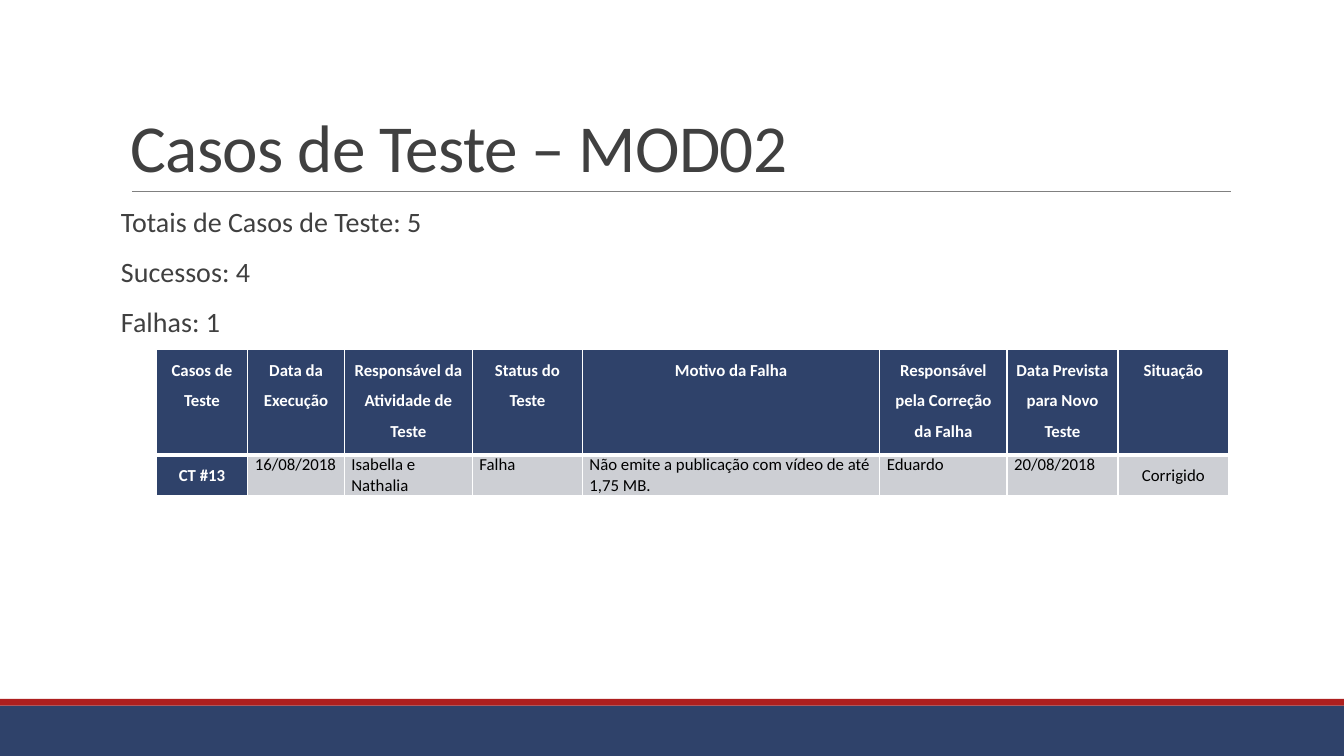
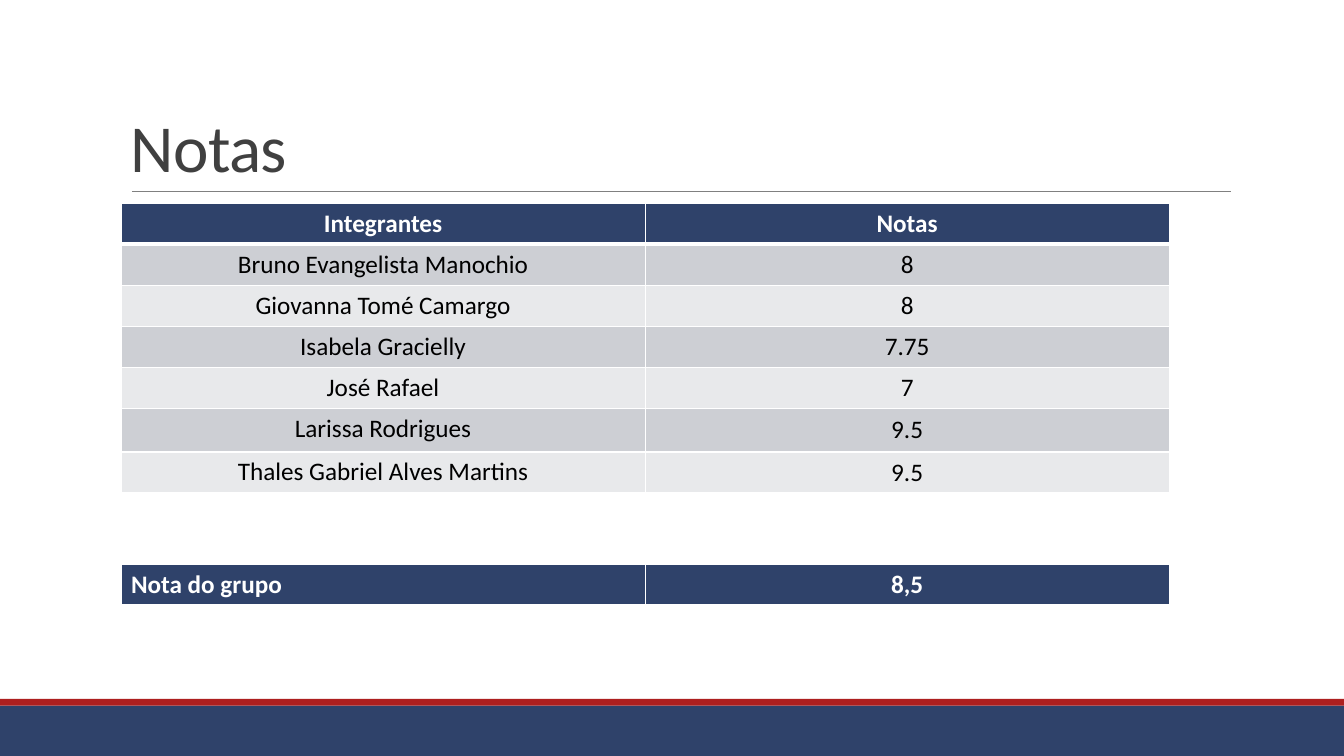
from dataclasses import dataclass
from typing import Any

import lxml.etree
import pptx
import pptx.dml.color
import pptx.enum.shapes
import pptx.enum.text
import pptx.oxml.ns
import pptx.util

NAVY = pptx.dml.color.RGBColor(0x2F, 0x42, 0x6A)
RED = pptx.dml.color.RGBColor(0xAD, 0x1F, 0x1F)
GREY = pptx.dml.color.RGBColor(0x80, 0x80, 0x80)
CHARCOAL = pptx.dml.color.RGBColor(0x40, 0x40, 0x40)
DARK_BAND = pptx.dml.color.RGBColor(0xCD, 0xCF, 0xD4)
LIGHT_BAND = pptx.dml.color.RGBColor(0xE8, 0xE9, 0xEB)
WHITE = pptx.dml.color.RGBColor(0xFF, 0xFF, 0xFF)
BLACK = pptx.dml.color.RGBColor(0, 0, 0)

FONT = "Calibri"
LEFT = pptx.enum.text.PP_ALIGN.LEFT
CENTER = pptx.enum.text.PP_ALIGN.CENTER
TOP = pptx.enum.text.MSO_ANCHOR.TOP
BOTTOM = pptx.enum.text.MSO_ANCHOR.BOTTOM
MIDDLE = pptx.enum.text.MSO_ANCHOR.MIDDLE

SLIDE_WIDTH = pptx.util.Inches(40 / 3)
SLIDE_HEIGHT = pptx.util.Inches(7.5)
GRID_COLUMNS = 160
GRID_ROWS = 90
CONTENT_LEFT = 14.4
CONTENT_TOP = 24.25
CONTENT_WIDTH = 132


@dataclass(frozen=True)
class Box:
    left: float
    top: float
    width: float
    height: float

    def lengths(self) -> tuple[int, int, int, int]:
        return across(self.left), down(self.top), across(self.width), down(self.height)


@dataclass(frozen=True)
class TextStyle:
    size: float
    color: pptx.dml.color.RGBColor
    bold: bool = False
    alignment: Any = LEFT
    line_spacing: float = 1.0
    space_before: float = 0
    space_after: float = 0
    tracking: int = 0


@dataclass(frozen=True)
class CellStyle:
    text: TextStyle
    fill: pptx.dml.color.RGBColor
    bottom_border: float = 1
    anchor: Any = TOP
    compact: bool = False


@dataclass(frozen=True)
class Cell:
    text: str
    style: CellStyle


@dataclass(frozen=True)
class Band:
    box: Box
    color: pptx.dml.color.RGBColor


BANDS = [
    Band(Box(0, 84, GRID_COLUMNS, 6), NAVY),
    Band(Box(0, 83.2, GRID_COLUMNS, 0.8), RED),
]
TITLE_BOX = Box(CONTENT_LEFT, 3.7, CONTENT_WIDTH, 19.1)
TITLE = TextStyle(48, CHARCOAL, line_spacing=0.85, tracking=-50)
BODY = TextStyle(20, CHARCOAL, line_spacing=0.9, space_before=12, space_after=2)

CASE_HEADING = TextStyle(12, WHITE, True, CENTER, 1.5)
CASE_HEADER = CellStyle(CASE_HEADING, NAVY, 3, compact=True)
CASE_NAME = CellStyle(CASE_HEADING, NAVY, compact=True)
CASE_DETAIL = CellStyle(TextStyle(12, BLACK), DARK_BAND, compact=True)
CASE_STATE = CellStyle(TextStyle(12, BLACK, False, CENTER, 1.5), DARK_BAND, compact=True)

GRADE_HEADER = CellStyle(TextStyle(18, WHITE, True, CENTER), NAVY, 3)
GROUP_LABEL = CellStyle(TextStyle(18, WHITE, True), NAVY, 3)
GRADE_TEXT = TextStyle(18, BLACK, alignment=CENTER)
GRADE_COLUMNS = [62.4, 62.4]

CASE_COLUMNS = [10.9, 11.5, 15.25, 13.1, 35.4, 15.15, 13.2, 13.2]
CASE_HEADINGS = [
    "Casos de Teste", "Data da Execução", "Responsável da Atividade de Teste",
    "Status do Teste", "Motivo da Falha", "Responsável pela Correção da Falha",
    "Data Prevista para Novo Teste", "Situação",
]
CASE_DETAILS = [
    "16/08/2018", "Isabella e Nathalia", "Falha",
    "Não emite a publicação com vídeo de até 1,75 MB.", "Eduardo", "20/08/2018",
]
GRADES = [
    ("Bruno Evangelista Manochio", "8"),
    ("Giovanna Tomé Camargo", "8"),
    ("Isabela Gracielly", "7.75"),
    ("José Rafael", "7"),
    ("Larissa Rodrigues", "9.5"),
    ("Thales Gabriel Alves Martins", "9.5"),
]


def across(columns: float) -> int:
    return round(SLIDE_WIDTH * columns / GRID_COLUMNS)


def down(rows: float) -> int:
    return round(SLIDE_HEIGHT * rows / GRID_ROWS)


def set_attributes(target: Any, values: dict[str, Any]) -> None:
    for name, value in values.items():
        setattr(target, name, value)


def write_text(text_frame: Any, lines: list[str], style: TextStyle) -> None:
    for index, line in enumerate(lines):
        paragraph = text_frame.add_paragraph() if index else text_frame.paragraphs[0]
        set_attributes(paragraph, {
            "alignment": style.alignment,
            "line_spacing": style.line_spacing,
            "space_before": pptx.util.Pt(style.space_before if index else 0),
            "space_after": pptx.util.Pt(style.space_after),
        })
        run = paragraph.add_run()
        run.text = line
        set_attributes(run.font, {
            "name": FONT, "size": pptx.util.Pt(style.size), "bold": style.bold,
        })
        run.font.color.rgb = style.color
        if style.tracking:
            run._r.get_or_add_rPr().set("spc", str(style.tracking))


def add_text(slide: Any, box: Box, lines: list[str], style: TextStyle,
             anchor: Any = TOP, side_margin: float = 0.1) -> None:
    text_frame = slide.shapes.add_textbox(*box.lengths()).text_frame
    set_attributes(text_frame, {
        "word_wrap": True,
        "vertical_anchor": anchor,
        "margin_left": pptx.util.Inches(side_margin),
        "margin_right": pptx.util.Inches(side_margin),
    })
    write_text(text_frame, lines, style)


def add_band(slide: Any, band: Band) -> None:
    shape = slide.shapes.add_shape(
        pptx.enum.shapes.MSO_SHAPE.RECTANGLE, *band.box.lengths())
    shape.shadow.inherit = False
    shape.fill.solid()
    shape.fill.fore_color.rgb = band.color
    shape.line.fill.background()


def add_title_rule(slide: Any) -> None:
    connector = slide.shapes.add_connector(
        pptx.enum.shapes.MSO_CONNECTOR.STRAIGHT,
        across(15.7), down(22.8), across(146.5), down(22.8))
    connector.line.color.rgb = GREY
    connector.line.width = pptx.util.Pt(0.5)
    lxml.etree.SubElement(
        connector._element.spPr, pptx.oxml.ns.qn("a:effectLst"))


def add_border(cell: Any, side: str, width: float) -> None:
    border = lxml.etree.SubElement(
        cell._tc.get_or_add_tcPr(), pptx.oxml.ns.qn(f"a:ln{side}"),
        w=str(pptx.util.Pt(width)))
    fill = lxml.etree.SubElement(border, pptx.oxml.ns.qn("a:solidFill"))
    lxml.etree.SubElement(fill, pptx.oxml.ns.qn("a:srgbClr"), val=str(WHITE))


def fill_cell(table_cell: Any, content: Cell) -> None:
    style = content.style
    table_cell.vertical_anchor = style.anchor
    if style.compact:
        set_attributes(table_cell, {
            "margin_left": pptx.util.Inches(0.07),
            "margin_right": pptx.util.Inches(0.07),
            "margin_top": 0,
            "margin_bottom": 0,
        })
    for side in "LRT":
        add_border(table_cell, side, 1)
    add_border(table_cell, "B", style.bottom_border)
    table_cell.fill.solid()
    table_cell.fill.fore_color.rgb = style.fill
    write_text(table_cell.text_frame, [content.text], style.text)


def add_table(slide: Any, left: float, top: float, columns: list[float],
              rows: list[float], cells: list[list[Cell]]) -> None:
    box = Box(left, top, sum(columns), sum(rows))
    table = slide.shapes.add_table(len(rows), len(columns), *box.lengths()).table
    set_attributes(table, {"first_row": False, "horz_banding": False})
    for column, width in zip(table.columns, columns):
        column.width = across(width)
    for row, height, contents in zip(table.rows, rows, cells):
        row.height = down(height)
        for table_cell, content in zip(row.cells, contents):
            fill_cell(table_cell, content)


def add_slide(presentation: Any, title: str) -> Any:
    slide = presentation.slides.add_slide(presentation.slide_layouts[6])
    for band in BANDS:
        add_band(slide, band)
    add_title_rule(slide)
    add_text(slide, TITLE_BOX, [title], TITLE, BOTTOM)
    return slide


def build_test_cases(presentation: Any) -> None:
    slide = add_slide(presentation, "Casos de Teste – MOD02")
    add_text(slide, Box(CONTENT_LEFT, CONTENT_TOP, CONTENT_WIDTH, 19.9),
             ["Totais de Casos de Teste: 5", "Sucessos: 4", "Falhas: 1"],
             BODY, side_margin=0)
    header = [Cell(heading, CASE_HEADER) for heading in CASE_HEADINGS]
    failure = [
        Cell("CT #13", CASE_NAME),
        *(Cell(detail, CASE_DETAIL) for detail in CASE_DETAILS),
        Cell("Corrigido", CASE_STATE),
    ]
    add_table(slide, 18.6, 41.65, CASE_COLUMNS, [12.5, 4.85], [header, failure])


def build_grades(presentation: Any) -> None:
    slide = add_slide(presentation, "Notas")
    cells = [[Cell(heading, GRADE_HEADER) for heading in ("Integrantes", "Notas")]]
    for index, (member, grade) in enumerate(GRADES):
        fill = LIGHT_BAND if index % 2 else DARK_BAND
        cells.append([
            Cell(member, CellStyle(GRADE_TEXT, fill)),
            Cell(grade, CellStyle(GRADE_TEXT, fill, anchor=MIDDLE)),
        ])
    add_table(slide, CONTENT_LEFT, CONTENT_TOP, GRADE_COLUMNS,
              [4.6, *[4.9] * 4, 5.15, 4.9], cells)
    add_table(slide, CONTENT_LEFT, 67.2, GRADE_COLUMNS, [4.9],
              [[Cell("Nota do grupo", GROUP_LABEL), Cell("8,5", GRADE_HEADER)]])


def main() -> None:
    presentation = pptx.Presentation()
    set_attributes(presentation, {
        "slide_width": SLIDE_WIDTH, "slide_height": SLIDE_HEIGHT,
    })
    build_test_cases(presentation)
    build_grades(presentation)
    presentation.save("out.pptx")


if __name__ == "__main__":
    main()
